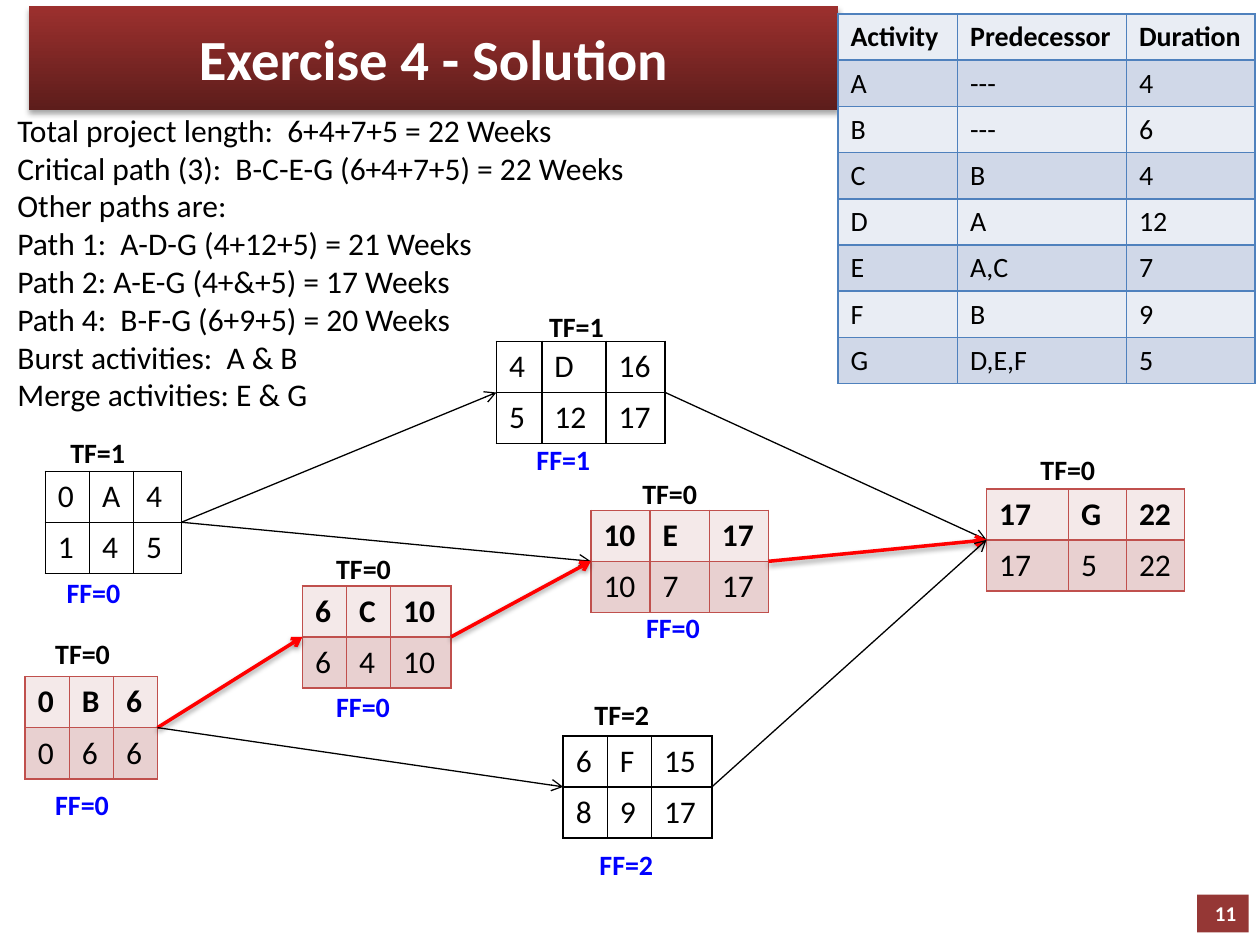
from dataclasses import dataclass
from typing import Optional

from lxml.etree import SubElement
from pptx import Presentation
from pptx.dml.color import RGBColor
from pptx.enum.shapes import MSO_CONNECTOR, MSO_SHAPE
from pptx.enum.text import MSO_ANCHOR, PP_ALIGN
from pptx.oxml import parse_xml
from pptx.oxml.ns import nsdecls, qn
from pptx.util import Inches, Pt

COLUMNS, ROWS = 100, 75  # grid of the slide, one tenth of an inch per cell
CELL = Inches(10) // COLUMNS
FONT = "Calibri"
COLOURS = {
    "black": "000000", "white": "FFFFFF", "blue": "0000FF", "red": "FF0000",
    "title_dark": "5D1D1B", "title_light": "9C302E", "page": "953735",
    "critical_border": "C0504D", "critical_top": "F4E9E9", "critical_bottom": "E8D0D0",
    "schedule_border": "4F81BD", "schedule_light": "E9EDF4", "schedule_dark": "D0D8E8",
}


@dataclass(frozen=True)
class Activity:
    name: str
    predecessors: str
    duration: int
    early_start: int
    late_start: int
    total_float: int
    free_float: Optional[int]
    left: float
    top: float
    widths: tuple
    total_at: tuple
    free_at: Optional[tuple] = None

    @property
    def critical(self) -> bool:
        return self.total_float == 0

    @property
    def rows(self) -> list:
        return [
            [self.early_start, self.name, self.early_start + self.duration],
            [self.late_start, self.duration, self.late_start + self.duration],
        ]


NODE_ROW = 4.05
ACTIVITIES = [
    Activity("A", "---", 4, 0, 1, 1, 0, 3.6, 37.4, (3.5, 3.5, 3.8), (4.6, 34.1), (4.3, 45.2)),
    Activity("B", "---", 6, 0, 0, 0, 0, 2, 53.7, (3.5, 3.5, 3.5), (3.4, 50), (3.4, 62)),
    Activity("C", "B", 4, 6, 6, 0, 0, 24, 46.5, (3.5, 3.5, 4.8), (25.7, 43.3), (25.7, 54.2)),
    Activity("D", "A", 12, 4, 5, 1, 1, 39.4, 27.1, (3.6, 5.1, 4.7), (42.6, 24.1), (41.6, 34.6)),
    Activity("E", "A,C", 7, 10, 10, 0, 0, 46.9, 40.5, (4.7, 4.7, 4.7), (50, 37.3), (50.3, 48)),
    Activity("F", "B", 9, 6, 8, 2, 2, 44.7, 58.4, (3.5, 3.5, 4.8), (46.2, 54.9), (46.6, 66.8)),
    Activity("G", "D,E,F", 5, 17, 17, 0, None, 78.3, 38.8, (6.5, 4.6, 4.6), (81.6, 35.4)),
]
SUMMARY = [
    "Total project length:  6+4+7+5 = 22 Weeks",
    "Critical path (3):  B-C-E-G (6+4+7+5) = 22 Weeks",
    "Other paths are:",
    "Path 1:  A-D-G (4+12+5) = 21 Weeks",
    "Path 2: A-E-G (4+&+5) = 17 Weeks",
    "Path 4:  B-F-G (6+9+5) = 20 Weeks",
    "Burst activities:  A & B",
    "Merge activities: E & G",
]


def grid(*cells: float) -> list:
    """Turn grid cells into slide lengths."""
    return [round(cell * CELL) for cell in cells]


def colour(name: str) -> RGBColor:
    return RGBColor.from_string(COLOURS[name])


def write(frame, text: str, size: float = 18, ink: str = "black", bold: bool = False,
          align=PP_ALIGN.LEFT) -> None:
    frame.text = text
    for paragraph in frame.paragraphs:
        paragraph.alignment = align
        font = paragraph.font
        font.name, font.size, font.bold = FONT, Pt(size), bold
        font.color.rgb = colour(ink)


def add_text(slide, left: float, top: float, width: float, height: float, text: str,
             wrap: bool = True, **text_format) -> None:
    box = slide.shapes.add_textbox(*grid(left, top, width, height))
    box.text_frame.word_wrap = wrap
    write(box.text_frame, text, **text_format)


def add_shadow(effects, opacity: int, distance: float) -> None:
    shadow = SubElement(effects, qn("a:outerShdw"), blurRad=str(Pt(3.1)),
                        dist=str(Pt(distance)), dir="5400000", rotWithShape="0")
    ink = SubElement(shadow, qn("a:srgbClr"), val=COLOURS["black"])
    SubElement(ink, qn("a:alpha"), val=str(opacity * 1000))


def add_panel(slide, left: float, top: float, width: float, height: float, text: str,
              **text_format):
    panel = slide.shapes.add_shape(MSO_SHAPE.RECTANGLE, *grid(left, top, width, height))
    panel.shadow.inherit = False
    panel.line.fill.background()
    panel.text_frame.vertical_anchor = MSO_ANCHOR.MIDDLE
    write(panel.text_frame, text, ink="white", bold=True, **text_format)
    return panel


def add_title(slide) -> None:
    title = add_panel(slide, 2.3, 0.5, 64.2, 8.2, "Exercise 4 - Solution",
                      size=32.4, align=PP_ALIGN.CENTER)
    title.fill.gradient()
    title.fill.gradient_angle = 90
    for stop, name in zip(title.fill.gradient_stops, ("title_dark", "title_light")):
        stop.color.rgb = colour(name)
    add_shadow(title._element.spPr.find(qn("a:effectLst")), opacity=35, distance=1.8)


def set_borders(cell, name: str) -> None:
    properties = cell._tc.get_or_add_tcPr()
    for position, side in enumerate(("lnL", "lnR", "lnT", "lnB")):
        properties.insert(position, parse_xml(
            f'<a:{side} {nsdecls("a")} w="{Pt(1)}"><a:solidFill>'
            f'<a:srgbClr val="{COLOURS[name]}"/></a:solidFill></a:{side}>'))


def add_grid_table(slide, left: float, top: float, widths: tuple, row_height: float,
                   rows: list, fills: tuple, border: str, size: float,
                   bold_header: bool) -> None:
    frame = slide.shapes.add_table(len(rows), len(widths),
                                   *grid(left, top, sum(widths), row_height * len(rows)))
    table = frame.table
    table.first_row = table.horz_banding = False
    for column, width in zip(table.columns, grid(*widths)):
        column.width = width
    for index, values in enumerate(rows):
        table.rows[index].height = grid(row_height)[0]
        for cell, value in zip(table.rows[index].cells, values):
            write(cell.text_frame, str(value), size=size, bold=bold_header and index == 0)
            cell.fill.solid()
            cell.fill.fore_color.rgb = colour(fills[index % len(fills)])
            set_borders(cell, border)


def add_node(slide, activity: Activity) -> None:
    if activity.critical:
        fills, border = ("critical_top", "critical_bottom"), "critical_border"
    else:
        fills, border = ("white",), "black"
    add_grid_table(slide, activity.left, activity.top, activity.widths, NODE_ROW,
                   activity.rows, fills, border, 18, activity.critical)


def add_link(slide, before: Activity, after: Activity) -> None:
    critical = before.critical and after.critical
    link = slide.shapes.add_connector(MSO_CONNECTOR.STRAIGHT, *grid(
        before.left + sum(before.widths), before.top + NODE_ROW,
        after.left, after.top + NODE_ROW))
    link.line.color.rgb = colour("red" if critical else "black")
    link.line.width = Pt(2 if critical else 0.75)
    SubElement(link.line._get_or_add_ln(), qn("a:tailEnd"), type="arrow")
    effects = SubElement(link._element.spPr, qn("a:effectLst"))
    if critical:
        add_shadow(effects, opacity=38, distance=1.6)


def add_floats(slide, activity: Activity) -> None:
    """Label an activity with its total float and, if known, its free float."""
    add_text(slide, *activity.total_at, 8, 3.7, f"TF={activity.total_float}",
             size=16, bold=True)
    if activity.free_at:
        add_text(slide, *activity.free_at, 8, 3.7, f"FF={activity.free_float}",
                 size=16, ink="blue", bold=True)


def main() -> None:
    presentation = Presentation()
    presentation.slide_width, presentation.slide_height = grid(COLUMNS, ROWS)
    slide = presentation.slides.add_slide(presentation.slide_layouts[6])

    add_title(slide)
    page = add_panel(slide, 95, 71, 4.1, 3, "11", size=12, align=PP_ALIGN.RIGHT)
    page.fill.solid()
    page.fill.fore_color.rgb = colour("page")

    for activity in ACTIVITIES:
        add_node(slide, activity)
    for after in ACTIVITIES:
        for before in ACTIVITIES:
            if before.name in after.predecessors:
                add_link(slide, before, after)
    add_text(slide, 0.4, 8.3, 50.4, 25.2, "\n".join(SUMMARY), wrap=False)
    for activity in ACTIVITIES:
        add_floats(slide, activity)

    schedule = [["Activity", "Predecessor", "Duration"]]
    schedule += [[item.name, item.predecessors, item.duration] for item in ACTIVITIES]
    add_grid_table(slide, 66.5, 1.1, (9.5, 13.4, 10.2), 3.67, schedule,
                   ("schedule_light", "schedule_dark"), "schedule_border", 16, True)
    presentation.save("out.pptx")


if __name__ == "__main__":
    main()
